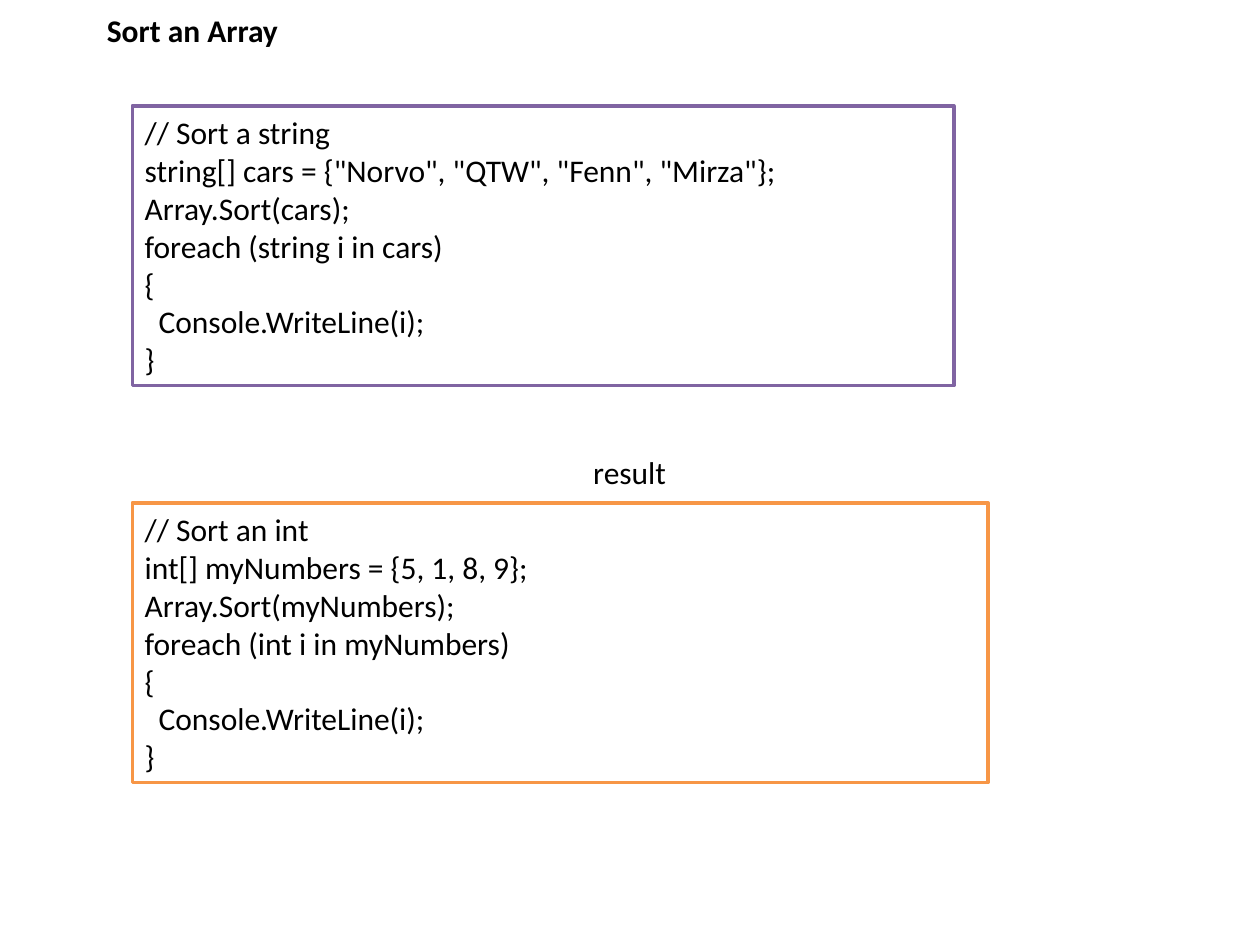
"""Build a slide showing how to sort string and int arrays."""
from dataclasses import dataclass

from pptx import Presentation
from pptx.dml.color import RGBColor
from pptx.enum.shapes import MSO_SHAPE
from pptx.enum.text import MSO_ANCHOR, MSO_AUTO_SIZE, PP_ALIGN
from pptx.util import Inches, Pt

RECTANGLE = MSO_SHAPE.RECTANGLE
LEFT = PP_ALIGN.LEFT
TOP, MIDDLE = MSO_ANCHOR.TOP, MSO_ANCHOR.MIDDLE
FIT_SHAPE = MSO_AUTO_SIZE.SHAPE_TO_FIT_TEXT


@dataclass(frozen=True)
class Theme:
    font: str = "Calibri"
    size: float = 18
    border: float = 2
    ink: RGBColor = RGBColor(0x00, 0x00, 0x00)
    paper: RGBColor = RGBColor(0xFF, 0xFF, 0xFF)
    purple: RGBColor = RGBColor(0x80, 0x64, 0xA2)
    orange: RGBColor = RGBColor(0xF7, 0x96, 0x46)


@dataclass(frozen=True)
class Label:
    text: str
    left: float
    top: float
    width: float
    bold: bool = False


@dataclass(frozen=True)
class CodePanel:
    topic: str
    declaration: str
    array: str
    item_type: str
    top: float
    width: float
    border: RGBColor


THEME = Theme()
LABEL_HEIGHT = 0.4
PANEL_LEFT, PANEL_HEIGHT = 1.05, 2.22
CODE_INDENT = 0.11

LABELS = (
    Label("Sort an Array", 0.75, 0.04, 1.57, bold=True),
    Label("result", 4.61, 3.55, 0.79),
)
PANELS = (
    CodePanel("a string", 'string[] cars = {"Norvo", "QTW", "Fenn", "Mirza"};',
              "cars", "string", 0.84, 6.52, THEME.purple),
    CodePanel("an int", "int[] myNumbers = {5, 1, 8, 9};",
              "myNumbers", "int", 3.99, 6.79, THEME.orange),
)


def write_text(frame, lines, *, bold=False, wrap=True, anchor=TOP, indented=()) -> None:
    frame.word_wrap = wrap
    frame.auto_size = FIT_SHAPE
    frame.vertical_anchor = anchor
    for index, line in enumerate(lines):
        paragraph = frame.paragraphs[0] if index == 0 else frame.add_paragraph()
        paragraph.alignment = LEFT
        if index in indented:
            paragraph._p.get_or_add_pPr().set("marL", str(Inches(CODE_INDENT)))
        run = paragraph.add_run()
        run.text = line
        run.font.name = THEME.font
        run.font.size = Pt(THEME.size)
        run.font.bold = bold
        run.font.color.rgb = THEME.ink


def draw_label(slide, label: Label) -> None:
    box = slide.shapes.add_textbox(Inches(label.left), Inches(label.top),
                                   Inches(label.width), Inches(LABEL_HEIGHT))
    write_text(box.text_frame, [label.text], bold=label.bold, wrap=False)


def draw_panel(slide, panel: CodePanel) -> None:
    box = slide.shapes.add_shape(RECTANGLE, Inches(PANEL_LEFT), Inches(panel.top),
                                 Inches(panel.width), Inches(PANEL_HEIGHT))
    box.shadow.inherit = False
    box.fill.solid()
    box.fill.fore_color.rgb = THEME.paper
    box.line.color.rgb = panel.border
    box.line.width = Pt(THEME.border)
    code = [
        f"// Sort {panel.topic}",
        panel.declaration,
        f"Array.Sort({panel.array});",
        f"foreach ({panel.item_type} i in {panel.array})",
        "{",
        "Console.WriteLine(i);",
        "}",
    ]
    write_text(box.text_frame, code, anchor=MIDDLE, indented=(5,))


def main() -> None:
    deck = Presentation()
    deck.slide_width, deck.slide_height = Inches(10), Inches(7.5)
    slide = deck.slides.add_slide(deck.slide_layouts[6])
    for panel in PANELS:
        draw_panel(slide, panel)
    for label in LABELS:
        draw_label(slide, label)
    deck.save("out.pptx")


if __name__ == "__main__":
    main()
